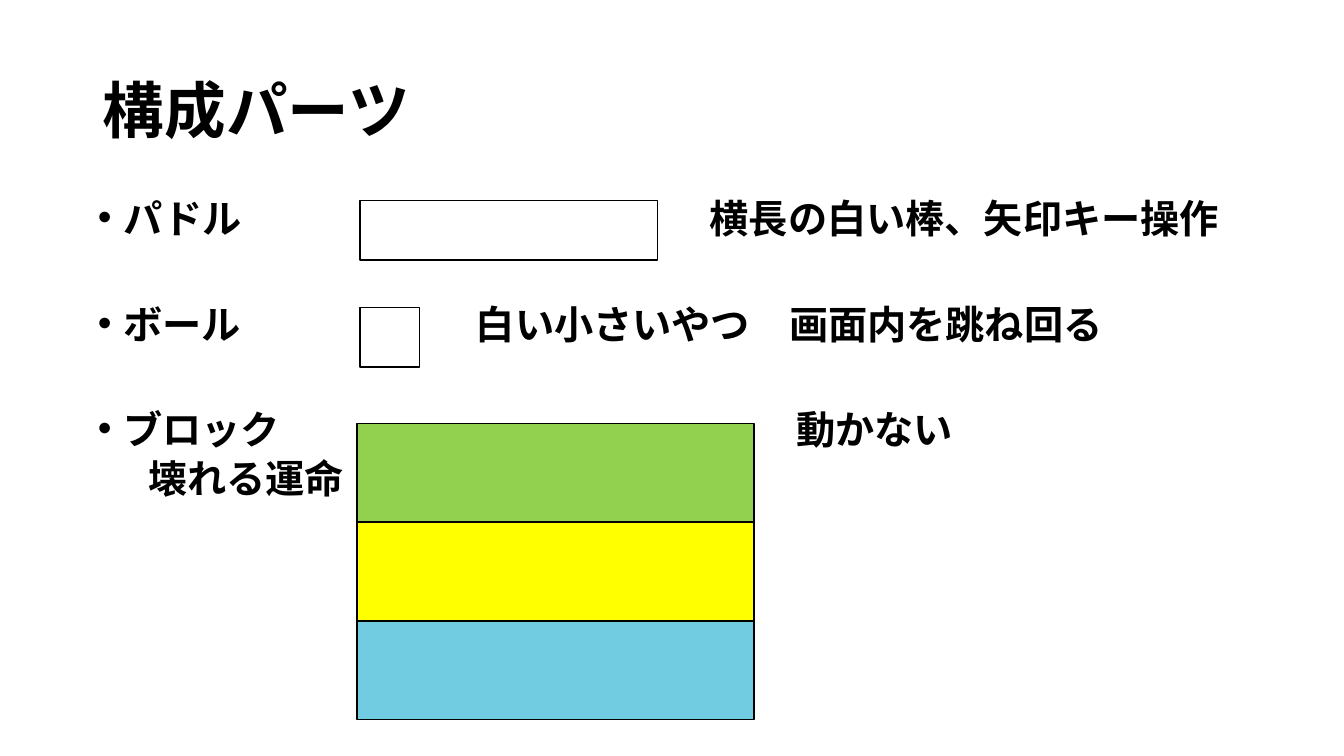
from lxml import etree
from pptx import Presentation
from pptx.dml.color import RGBColor as RGB
from pptx.enum.shapes import MSO_SHAPE as SHAPE
from pptx.enum.text import MSO_ANCHOR as ANCHOR, MSO_AUTO_SIZE as AUTO, PP_ALIGN as ALIGN
from pptx.oxml.ns import qn
from pptx.util import Inches, Pt

COLORS = {"ink": "000000", "green": "92D050", "yellow": "FFFF00", "blue": "71CCE1"}
FONT = "Noto Sans CJK JP"
INDENT = 0.25
PARTS = [
    ("パドル\t横長の白い棒、矢印キー操作", 6.07, True, 0),
    ("ボール\t白い小さいやつ　画面内を跳ね回る", 3.75, True, 50),
    ("ブロック\t動かない", 6.93, True, 50),
    ("\t壊れる運命", 6.85, False, 10),
]


def style_runs(p, size):
    """Apply the bold Japanese font to every run of a paragraph."""
    for r in p.runs:
        r.font.name, r.font.size, r.font.bold = FONT, Pt(size), True
        r.font.color.rgb = RGB.from_string(COLORS["ink"])
        ea = etree.SubElement(r.font._element, qn("a:ea"))
        ea.set("typeface", FONT)


def set_layout(p, tab, bulleted):
    """Set indent, bullet and the tab stop of the description."""
    pPr = p._p.get_or_add_pPr()
    indent = Inches(INDENT) if bulleted else 0
    pPr.set("marL", str(indent))
    pPr.set("indent", str(-indent))
    if bulleted:
        etree.SubElement(pPr, qn("a:buChar")).set("char", "•")
    else:
        etree.SubElement(pPr, qn("a:buNone"))
    tabs = etree.SubElement(pPr, qn("a:tabLst"))
    stop = etree.SubElement(tabs, qn("a:tab"))
    stop.set("pos", str(Inches(tab)))
    stop.set("algn", "l")


def place(sp, x, y, w, h):
    """Move a placeholder to its box and return its text frame."""
    sp.left, sp.top, sp.width, sp.height = map(Inches, (x, y, w, h))
    tf = sp.text_frame
    tf.auto_size, tf.word_wrap = AUTO.NONE, True
    return tf


def add_title(s, x, y, w, h):
    """Write the slide title."""
    tf = place(s.shapes.title, x, y, w, h)
    tf.text, tf.vertical_anchor = "構成パーツ", ANCHOR.MIDDLE
    p = tf.paragraphs[0]
    p.alignment, p.line_spacing = ALIGN.LEFT, 0.9
    style_runs(p, 44)


def add_parts_list(s, x, y, w, h):
    """Write the list of parts with their descriptions."""
    tf = place(s.placeholders[1], x, y, w, h)
    tf.text = "\n".join(text for text, *_ in PARTS)
    for p, (_, tab, bulleted, before) in zip(tf.paragraphs, PARTS):
        p.line_spacing, p.space_before = 0.75, Pt(before)
        set_layout(p, tab, bulleted)
        style_runs(p, 28)


def add_box(s, x, y, w, h, color=None):
    """Draw one outlined rectangle, filled when a colour is named."""
    sp = s.shapes.add_shape(SHAPE.RECTANGLE, *map(Inches, (x, y, w, h)))
    sp.shadow.inherit = False
    sp.line.color.rgb, sp.line.width = RGB.from_string(COLORS["ink"]), Pt(1)
    if color:
        sp.fill.solid()
        sp.fill.fore_color.rgb = RGB.from_string(COLORS[color])
    else:
        sp.fill.background()


def add_blocks(s, x, y, w, h):
    """Stack the coloured blocks in equal rows."""
    rows = ("green", "yellow", "blue")
    row_h = h / len(rows)
    for i, color in enumerate(rows):
        add_box(s, x, y + i * row_h, w, row_h, color)


def build_parts_slide(prs):
    """Build the slide that lists the game parts."""
    s = prs.slides.add_slide(prs.slide_layouts[1])
    add_title(s, 0.92, 0.4, 11.5, 1.45)
    add_parts_list(s, 0.87, 1.99, 11.5, 4.76)
    add_box(s, 3.57, 1.99, 2.95, 0.59)
    add_box(s, 3.57, 3.05, 0.59, 0.59)
    add_blocks(s, 3.54, 4.2, 3.94, 2.94)


prs = Presentation()
prs.slide_width, prs.slide_height = Inches(13.33), Inches(7.5)
build_parts_slide(prs)
prs.save("out.pptx")
